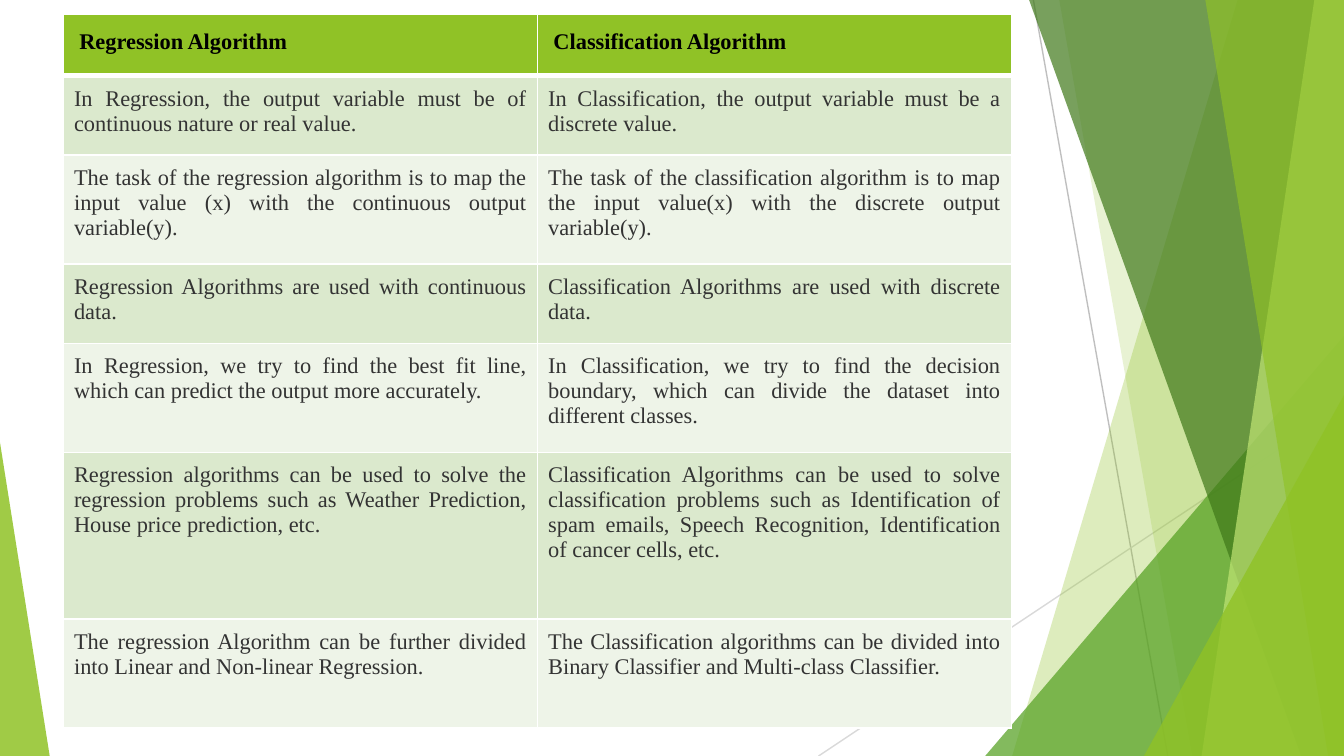
from lxml import etree
from pptx import Presentation
from pptx.dml.color import RGBColor
from pptx.enum.shapes import MSO_CONNECTOR, MSO_SHAPE
from pptx.enum.text import PP_ALIGN
from pptx.oxml.ns import qn
from pptx.util import Cm, Pt

# Content: one (regression, classification) pair per row
HEADER = ("Regression Algorithm", "Classification Algorithm")
COMPARISONS = [
    ("In Regression, the output variable must be of continuous nature or real value.",
     "In Classification, the output variable must be a discrete value."),
    ("The task of the regression algorithm is to map the input value (x) with the "
     "continuous output variable(y).",
     "The task of the classification algorithm is to map the input value(x) with the "
     "discrete output variable(y)."),
    ("Regression Algorithms are used with continuous data.",
     "Classification Algorithms are used with discrete data."),
    ("In Regression, we try to find the best fit line, which can predict the output "
     "more accurately.",
     "In Classification, we try to find the decision boundary, which can divide the "
     "dataset into different classes."),
    ("Regression algorithms can be used to solve the regression problems such as "
     "Weather Prediction, House price prediction, etc.",
     "Classification Algorithms can be used to solve classification problems such as "
     "Identification of spam emails, Speech Recognition, Identification of cancer "
     "cells, etc."),
    ("The regression Algorithm can be further divided into Linear and Non-linear "
     "Regression.",
     "The Classification algorithms can be divided into Binary Classifier and "
     "Multi-class Classifier."),
]

THEME = {
    "font": "Times New Roman", "size": 12,
    "green": "90C226", "mid": "54A021", "dark": "3F7819", "pale": "C0E474",
    "bands": ("DBE9CD", "EEF4E8"), "border": "FFFFFF",
    "header_text": "000000", "body_text": "333333",
    "line_dark": "BFBFBF", "line_light": "D9D9D9",
}

# Geometry in centimetres
WIDTH, HEIGHT = 25.4, 14.29
TABLE_LEFT, TABLE_TOP, COLUMN_WIDTH = 1.2, 0.26, 8.96
ROW_HEIGHTS = (1.17, 1.5, 2.06, 1.5, 2.06, 3.15, 2.06)
HEADER_INSET, BODY_INSET = 0.3, 0.2

# Thin lines: start, end, colour
LINES = [
    ((19.53, 0), (22.07, HEIGHT), "line_dark"),
    ((WIDTH, 7.67), (15.47, HEIGHT), "line_light"),
]
# Decoration from back to front. A panel runs to the right edge and has a left edge
# from top x to bottom x; a triangle has left, top, width and the apex side.
DECORATION = [
    ("panel", (23.39, 19.13), "green", 30),
    ("panel", (20.02, 22.53), "green", 20),
    ("triangle", (18.62, 6.35, 6.78, 1), "mid", 72),
    ("panel", (19.45, 24.59), "dark", 70),
    ("panel", (24.84, 22.71), "pale", 70),
    ("panel", (22.78, 25.1), "green", 65),
    ("triangle", (21.62, 7.47, 3.78, 1), "green", 80),
    ("triangle", (0, 8.36, 0.94, 0), "green", 85),
]


def colour(name):
    return RGBColor.from_string(THEME.get(name, name))


def add_line(page, start, end, colour_name):
    line = page.shapes.add_connector(
        MSO_CONNECTOR.STRAIGHT, *(Cm(value) for value in start + end))
    line.line.color.rgb = colour(colour_name)
    line.line.width = Pt(0.75)
    etree.SubElement(line._element.spPr, qn("a:effectLst"))


def add_panel(page, top_x, bottom_x):
    builder = page.shapes.build_freeform(Cm(top_x), 0)
    corners = [(WIDTH, 0), (WIDTH, HEIGHT), (bottom_x, HEIGHT)]
    builder.add_line_segments([(Cm(x), Cm(y)) for x, y in corners], close=True)
    return builder.convert_to_shape()


def add_triangle(page, left, top, width, apex):
    triangle = page.shapes.add_shape(
        MSO_SHAPE.ISOSCELES_TRIANGLE, Cm(left), Cm(top), Cm(width), Cm(HEIGHT - top))
    triangle.adjustments[0] = apex
    return triangle


def paint(shape, colour_name, opacity):
    shape.shadow.inherit = False
    shape.line.fill.background()
    shape.fill.solid()
    shape.fill.fore_color.rgb = colour(colour_name)
    tint = shape._element.spPr.find(qn("a:solidFill"))[0]
    etree.SubElement(tint, qn("a:alpha"), val=str(opacity * 1000))


def set_borders(cell, top, bottom):
    properties = cell._tc.get_or_add_tcPr()
    widths = {"lnL": 1, "lnR": 1, "lnT": top, "lnB": bottom}
    for index, (side, width) in enumerate(widths.items()):
        border = etree.Element(qn(f"a:{side}"), w=str(Pt(width)))
        fill = etree.SubElement(border, qn("a:solidFill"))
        etree.SubElement(fill, qn("a:srgbClr"), val=THEME["border"])
        properties.insert(index, border)


def fill_cell(cell, text, row):
    is_header = row == 0
    inset = Cm(HEADER_INSET if is_header else BODY_INSET)
    cell.margin_left = cell.margin_right = inset
    cell.margin_top = cell.margin_bottom = inset
    cell.fill.solid()
    cell.fill.fore_color.rgb = colour(
        "green" if is_header else THEME["bands"][(row - 1) % 2])
    set_borders(cell, top=3 if row == 1 else 1, bottom=3 if is_header else 1)

    cell.text = text
    para = cell.text_frame.paragraphs[0]
    para.alignment = PP_ALIGN.LEFT if is_header else PP_ALIGN.JUSTIFY
    para.font.name = THEME["font"]
    para.font.size = Pt(THEME["size"])
    para.font.bold = is_header
    para.font.color.rgb = colour("header_text" if is_header else "body_text")


def add_comparison(page):
    rows = [HEADER] + COMPARISONS
    table = page.shapes.add_table(
        len(rows), len(HEADER), Cm(TABLE_LEFT), Cm(TABLE_TOP),
        Cm(COLUMN_WIDTH * len(HEADER)), Cm(sum(ROW_HEIGHTS))).table
    for column in table.columns:
        column.width = Cm(COLUMN_WIDTH)
    for row, (texts, height) in enumerate(zip(rows, ROW_HEIGHTS)):
        table.rows[row].height = Cm(height)
        for column, text in enumerate(texts):
            fill_cell(table.cell(row, column), text, row)


def main():
    deck = Presentation()
    deck.slide_width, deck.slide_height = Cm(WIDTH), Cm(HEIGHT)
    page = deck.slides.add_slide(deck.slide_layouts[6])

    # Background facets
    for start, end, colour_name in LINES:
        add_line(page, start, end, colour_name)
    makers = {"panel": add_panel, "triangle": add_triangle}
    for kind, geometry, colour_name, opacity in DECORATION:
        paint(makers[kind](page, *geometry), colour_name, opacity)

    # Comparison table
    add_comparison(page)
    deck.save("out.pptx")


if __name__ == "__main__":
    main()
